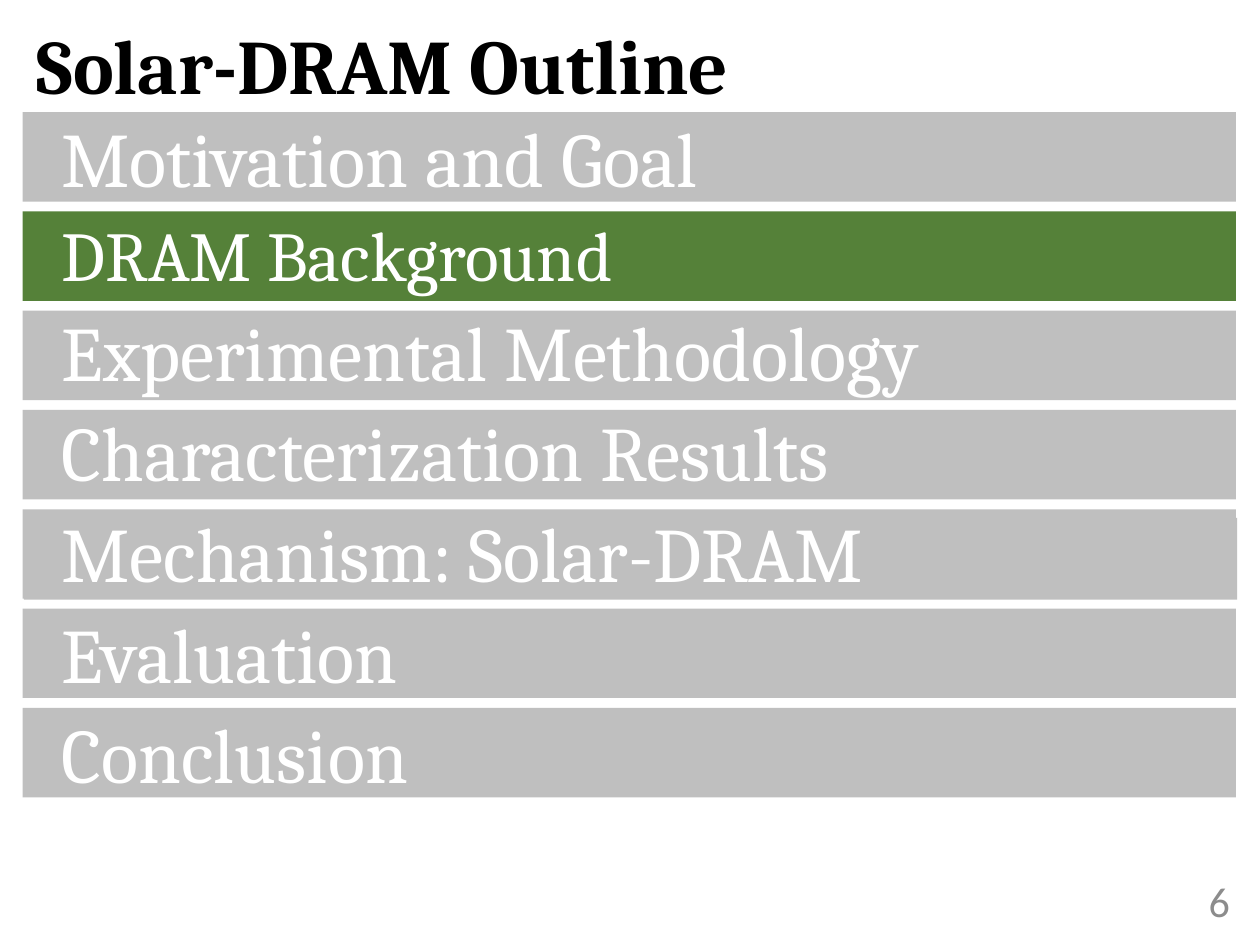
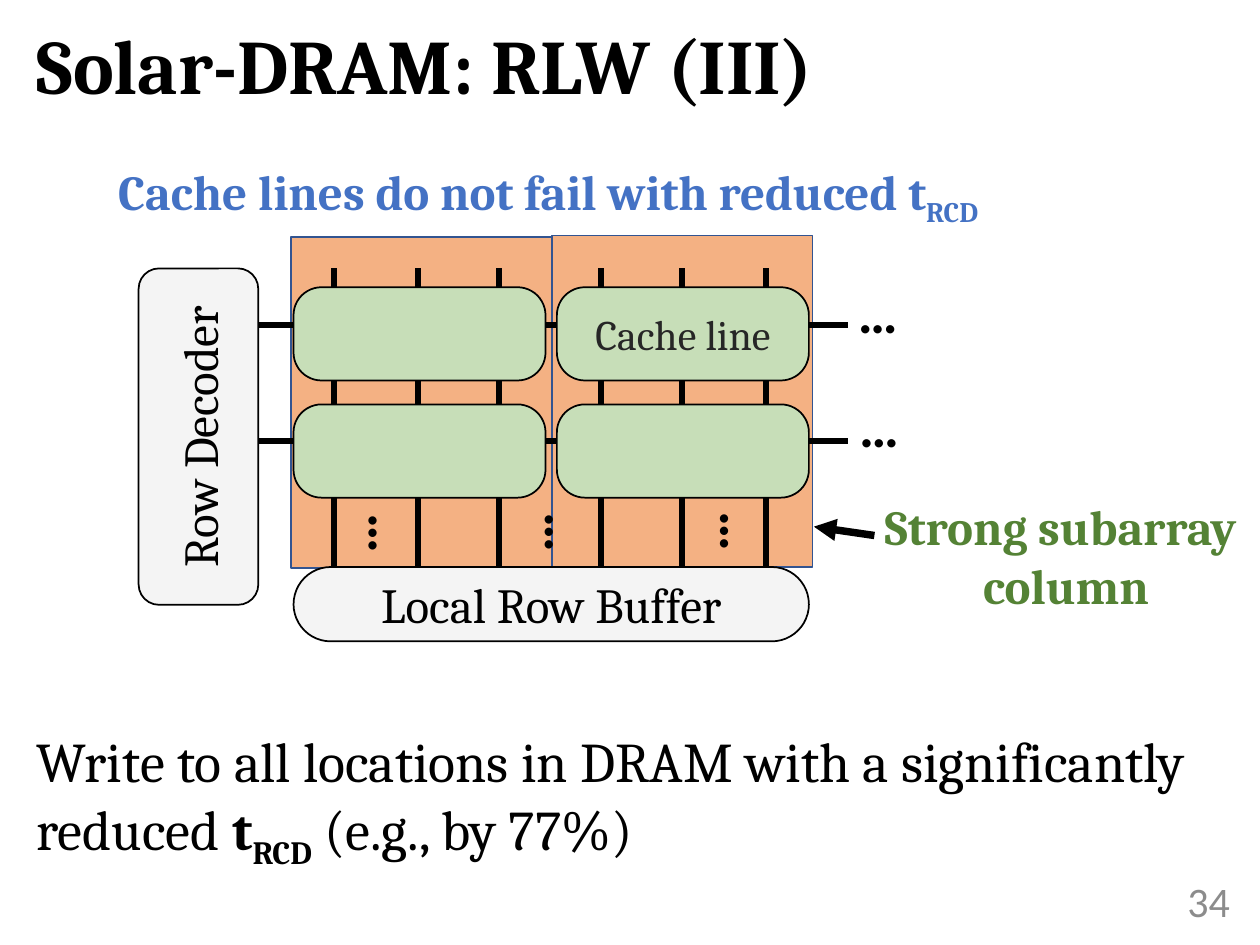
from dataclasses import dataclass
from typing import NamedTuple, Optional

from lxml.etree import SubElement as sub_el
from pptx import Presentation
from pptx.dml.color import RGBColor as Rgb
from pptx.enum.shapes import MSO_CONNECTOR as Link, MSO_SHAPE as Form
from pptx.enum.text import MSO_ANCHOR as Anchor, MSO_AUTO_SIZE as Fit, PP_ALIGN as Align
from pptx.oxml.ns import qn
from pptx.util import Inches, Pt

# Colours and fonts
BLACK = Rgb(0x00, 0x00, 0x00)
WHITE = Rgb(0xFF, 0xFF, 0xFF)
INK = Rgb(0x26, 0x26, 0x26)
GREY = Rgb(0xBF, 0xBF, 0xBF)
PALE = Rgb(0xF4, 0xF4, 0xF4)
DIM = Rgb(0x8C, 0x8C, 0x8C)
BLUE = Rgb(0x44, 0x72, 0xC4)
NAVY = Rgb(0x32, 0x54, 0x91)
GREEN = Rgb(0x54, 0x82, 0x35)
LEAF = Rgb(0x55, 0x81, 0x39)
MINT = Rgb(0xC7, 0xDE, 0xB8)
PEACH = Rgb(0xF4, 0xB1, 0x83)
SERIF, SANS = "Cambria", "Calibri"

# The slide is a grid of 100 columns by 75 rows of square cells
COLS, ROWS = 100, 75
WIDTH, HEIGHT = Inches(10), Inches(7.5)


class Box(NamedTuple):
    col: float
    row: float
    wide: float
    high: float


class Run(NamedTuple):
    text: str
    bold: bool = False
    sub: bool = False


@dataclass(frozen=True)
class Style:
    size: float
    color: Rgb = BLACK
    font: str = SERIF
    bold: bool = False
    align: Align = Align.LEFT
    lead: float = 1.0
    gap: float = 0


TITLE = Style(44, bold=True, lead=0.9)
NUMBER = Style(24, DIM, SANS, align=Align.RIGHT)
ITEM = Style(44, WHITE, lead=0.9, gap=10)
BODY = Style(32, lead=0.9)
PART = Style(28, align=Align.CENTER)
LABEL = Style(24, INK, align=Align.CENTER)
DOTS = Style(32, font=SANS, bold=True)
CLAIM = Style(28, BLUE, bold=True)
NOTE = Style(28, GREEN, bold=True, align=Align.CENTER)


def across(cols: float) -> int:
    return round(WIDTH * cols / COLS)


def down(rows: float) -> int:
    return round(HEIGHT * rows / ROWS)


def place(box: Box) -> tuple:
    return across(box.col), down(box.row), across(box.wide), down(box.high)


def write(frame, paras: list, style: Style) -> None:
    """Fill a text frame; each paragraph is a list of runs."""
    for i, runs in enumerate(paras):
        para = frame.add_paragraph() if i else frame.paragraphs[0]
        para.alignment = style.align
        para.line_spacing = style.lead
        para.space_before = Pt(style.gap if i else 0)
        for part in runs:
            run = para.add_run()
            run.text = part.text
            font = run.font
            font.name, font.size = style.font, Pt(style.size)
            font.bold = style.bold or part.bold
            font.color.rgb = style.color
            if part.sub:
                run._r.get_or_add_rPr().set("baseline", "-25000")


def add_text(slide, box: Box, paras: list, style: Style, *, wrap: bool = True,
             anchor: Anchor = Anchor.TOP, turn: float = 0):
    shape = slide.shapes.add_textbox(*place(box))
    shape.rotation = turn
    frame = shape.text_frame
    frame.word_wrap = wrap
    frame.auto_size = Fit.NONE if wrap else Fit.SHAPE_TO_FIT_TEXT
    frame.vertical_anchor = anchor
    write(frame, paras, style)
    return shape


def add_block(slide, box: Box, fill: Rgb, line: Optional[Rgb] = None,
              curve: Optional[float] = None, text: str = "",
              style: Style = PART, turn: float = 0):
    form = Form.RECTANGLE if curve is None else Form.ROUNDED_RECTANGLE
    shape = slide.shapes.add_shape(form, *place(box))
    shape.shadow.inherit = False
    shape.rotation = turn
    if curve is not None:
        shape.adjustments[0] = curve
    shape.fill.solid()
    shape.fill.fore_color.rgb = fill
    if line is None:
        shape.line.fill.background()
    else:
        shape.line.color.rgb = line
        shape.line.width = Pt(1)
    if text:
        shape.text_frame.vertical_anchor = Anchor.MIDDLE
        write(shape.text_frame, [[Run(text)]], style)
    return shape


def add_line(slide, start: tuple, end: tuple, width: float = 3.5,
             arrow: bool = False):
    line = slide.shapes.add_connector(
        Link.STRAIGHT, across(start[0]), down(start[1]), across(end[0]), down(end[1]))
    line.line.color.rgb = BLACK
    line.line.width = Pt(width)
    if arrow:
        sub_el(line.line._get_or_add_ln(), qn("a:tailEnd"), type="triangle")
    sub_el(line._element.spPr, qn("a:effectLst"))
    return line


def new_slide(deck, title: str, number: int):
    """Blank slide with the shared title and page number."""
    slide = deck.slides.add_slide(deck.slide_layouts[6])
    add_text(slide, Box(1.9, 1.5, 96, 8.1), [[Run(title)]], TITLE, anchor=Anchor.MIDDLE)
    add_text(slide, Box(70.6, 69.5, 28, 4), [[Run(str(number))]], NUMBER,
             anchor=Anchor.MIDDLE)
    return slide


def draw_outline(deck) -> None:
    slide = new_slide(deck, "Solar-DRAM Outline", 6)
    topics = ["Motivation and Goal", "DRAM Background", "Experimental Methodology",
              "Characterization Results", "Mechanism: Solar-DRAM", "Evaluation",
              "Conclusion"]
    now = 1

    # One bar per topic, the current one in green
    top, pitch = 8.9, 7.88
    for i in range(len(topics)):
        add_block(slide, Box(1.8, top + i * pitch, 96.3, 7.1), LEAF if i == now else GREY)
    add_block(slide, Box(1.9, 41.1, 96.3, 6.5), GREY)

    # Topic list over the bars
    body = add_text(slide, Box(3.9, 9.1, 88.8, 63.4), [[Run(t)] for t in topics], ITEM)
    body.text_frame.paragraphs[now].runs[0].font.size = Pt(40)


def draw_array(deck) -> None:
    slide = new_slide(deck, "Solar-DRAM: RLW (III)", 34)

    # Subarray columns
    for col, row in ((23.1, 18.8), (43.8, 18.7)):
        add_block(slide, Box(col, row, 20.7, 26.3), PEACH, NAVY)

    # Row decoder, word lines and bit lines
    add_block(slide, Box(2.4, 29.9, 26.7, 9.5), PALE, BLACK, 0.17, "Row Decoder", turn=270)
    for row in (25.8, 35):
        add_line(slide, (20.5, row), (67.3, row))
    for col in (26.5, 33.2, 39.6, 47.7, 54.1, 60.8):
        add_line(slide, (col, 21.3), (col, 47.9))

    # Cache lines: two by two
    for r in range(2):
        for c in range(2):
            text = "Cache line" if (r, c) == (0, 1) else ""
            add_block(slide, Box(23.3 + 20.9 * c, 22.8 + 9.3 * r, 20, 7.4),
                      MINT, BLACK, 0.3, text, LABEL)

    # Row buffer
    add_block(slide, Box(23.3, 45, 40.9, 5.9), PALE, BLACK, 0.5, "Local Row Buffer")

    # Continuation dots below and to the right
    for col, row, turn in ((28.4, 39.2, 90), (42.4, 39.1, 90), (56.3, 39, 90),
                           (67.1, 21.5, 0), (67.2, 30.6, 0)):
        add_text(slide, Box(col, row, 5.2, 6.4), [[Run("…")]], DOTS, wrap=False, turn=turn)

    # Callout
    add_text(slide, Box(68.7, 38.9, 31.8, 10.4),
             [[Run("Strong subarray ")], [Run("column")]], NOTE, wrap=False)
    add_line(slide, (69.4, 42.5), (64.6, 41.8), 4.25, arrow=True)

    # Claim and takeaway
    add_text(slide, Box(8.4, 12.3, 75.7, 5.7),
             [[Run("Cache lines do not fail with reduced t"), Run("RCD", sub=True)]],
             CLAIM, wrap=False)
    add_text(slide, Box(1.9, 57.8, 98.1, 17.2),
             [[Run("Write to all locations in DRAM with a significantly reduced "),
               Run("t", bold=True), Run("RCD", bold=True, sub=True),
               Run(" (e.g., by 77%)")]], BODY)


def main() -> None:
    deck = Presentation()
    deck.slide_width, deck.slide_height = WIDTH, HEIGHT
    draw_outline(deck)
    draw_array(deck)
    deck.save("out.pptx")


if __name__ == "__main__":
    main()
